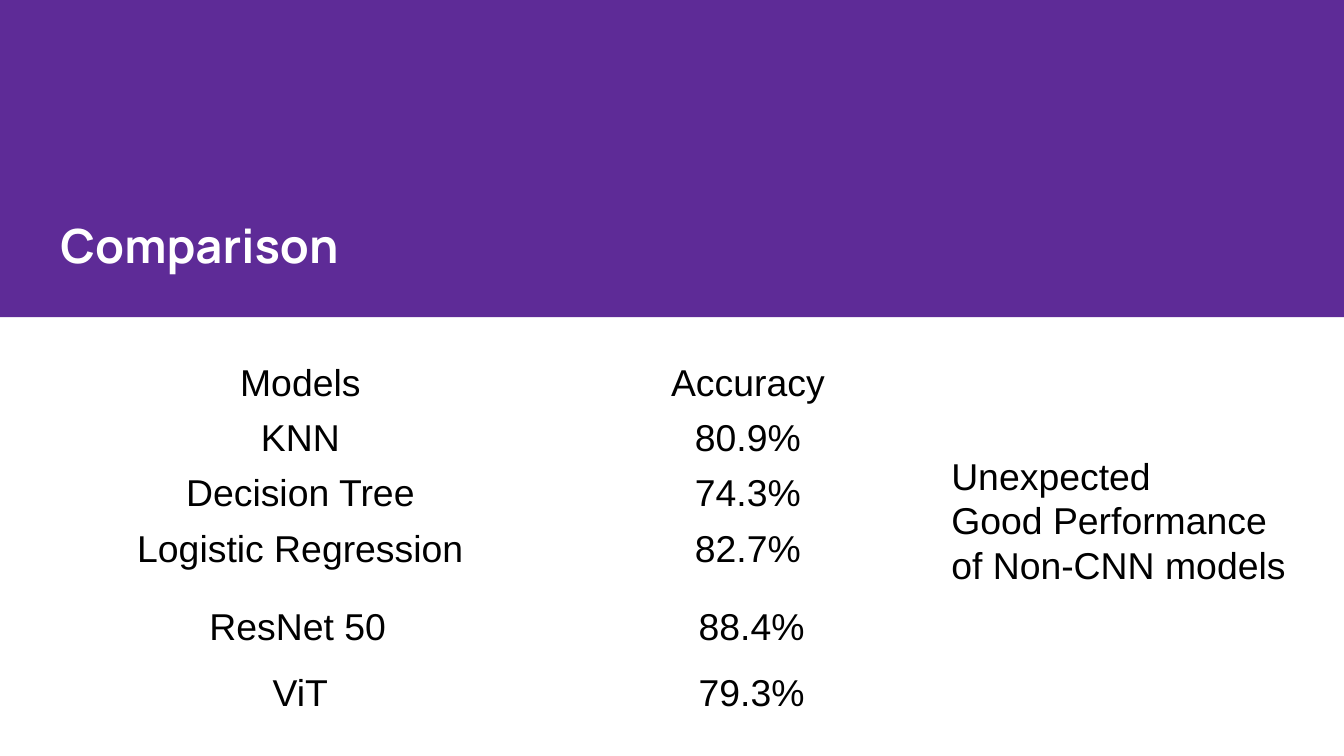
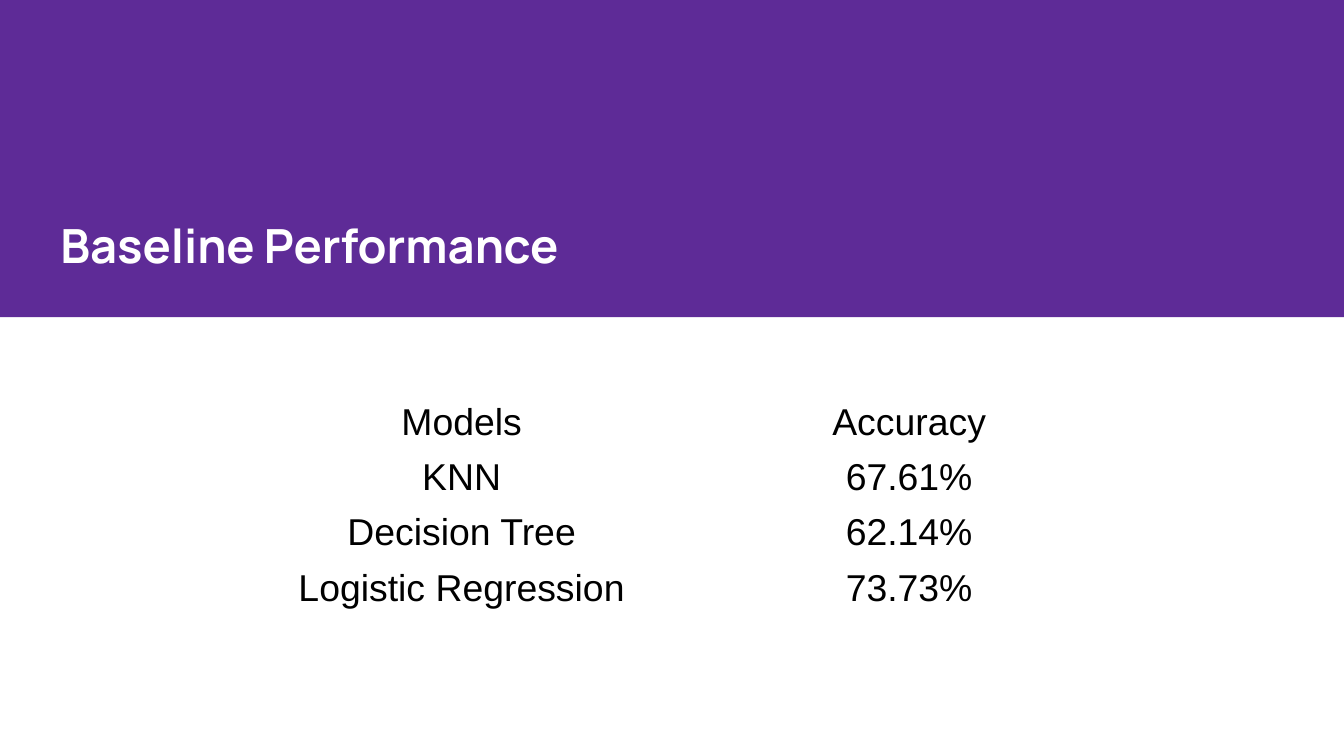
from dataclasses import dataclass
from typing import Any

from lxml.etree import SubElement
from pptx import Presentation
from pptx.dml.color import RGBColor
from pptx.enum.shapes import MSO_SHAPE
from pptx.enum.text import MSO_ANCHOR, MSO_AUTO_SIZE, PP_ALIGN
from pptx.oxml.ns import qn
from pptx.util import Inches, Length, Pt


@dataclass(frozen=True)
class Theme:
    purple: RGBColor = RGBColor(0x5E, 0x2B, 0x97)
    white: RGBColor = RGBColor(0xFF, 0xFF, 0xFF)
    black: RGBColor = RGBColor(0, 0, 0)
    title_font: str = "Manrope"
    body_font: str = "Arial"
    title_size: Length = Pt(25.2)
    body_size: Length = Pt(20)


THEME = Theme()
PAGE_WIDTH = Inches(10)
PAGE_HEIGHT = PAGE_WIDTH * 9 // 16
BAND_HEIGHT = Inches(2.36)
COLUMN_WIDTH, ROW_HEIGHT = Inches(3.33), Inches(0.41)
SIDE_INSET, BODY_INSET = Inches(0.1), Inches(0.05)
EXTRA_RIGHT, EXTRA_HEIGHT = Inches(6.34), Inches(0.44)
VALUE_LEFT = Inches(5.2)

TITLE_FONT = {"name": THEME.title_font, "size": THEME.title_size, "bold": True}
BODY_FONT = {"name": THEME.body_font, "size": THEME.body_size, "bold": False}
MODELS = ("KNN", "Decision Tree", "Logistic Regression")


@dataclass(frozen=True)
class ResultTable:
    left: Length
    top: Length
    accuracies: tuple[str, ...]


@dataclass(frozen=True)
class ExtraResult:
    model: str
    accuracy: str
    left: Length
    top: Length


@dataclass(frozen=True)
class ResultPage:
    title: str
    title_width: Length
    table: ResultTable
    note: tuple[str, ...] = ()
    extras: tuple[ExtraResult, ...] = ()


PAGES = (
    ResultPage(
        "Comparison",
        Inches(3.85),
        ResultTable(Inches(0.57), Inches(2.65), ("80.9%", "74.3%", "82.7%")),
        ("Unexpected", "Good Performance of Non-CNN models"),
        (
            ExtraResult("ResNet 50", "88.4%", Inches(1.46), Inches(4.44)),
            ExtraResult("ViT", "79.3%", Inches(1.93), Inches(4.93)),
        ),
    ),
    ResultPage(
        "Baseline Performance",
        Inches(5.68),
        ResultTable(Inches(1.77), Inches(2.94), ("67.61%", "62.14%", "73.73%")),
    ),
)


def apply_format(target: Any, values: dict[str, Any]) -> None:
    for name, value in values.items():
        setattr(target, name, value)


def set_insets(target: Any, vertical: Length) -> None:
    apply_format(target, {
        "margin_left": SIDE_INSET, "margin_right": SIDE_INSET,
        "margin_top": vertical, "margin_bottom": vertical,
    })


def write_lines(frame: Any, lines: tuple[str, ...], font: dict[str, Any],
                color: RGBColor, align: PP_ALIGN = PP_ALIGN.LEFT) -> None:
    for index, line in enumerate(lines):
        para = frame.add_paragraph() if index else frame.paragraphs[0]
        para.alignment = align
        span = para.add_run()
        span.text = line
        apply_format(span.font, font)
        span.font.color.rgb = color


def add_band_to_layout(page: Any) -> None:
    """Place the purple band behind every page that uses this layout."""
    band = page.shapes.add_shape(MSO_SHAPE.RECTANGLE, 0, 0, PAGE_WIDTH, BAND_HEIGHT)
    band.shadow.inherit = False
    band.fill.solid()
    band.fill.fore_color.rgb = THEME.purple
    band.line.fill.background()
    page.slide_layout.shapes.element.insert(2, band.element)


def set_title(page: Any, text: str, width: Length) -> None:
    title = page.shapes.title
    apply_format(title, {
        "left": Inches(0.35), "top": Inches(1.52),
        "width": width, "height": Inches(0.61),
    })
    frame = title.text_frame
    apply_format(frame, {
        "vertical_anchor": MSO_ANCHOR.BOTTOM,
        "auto_size": MSO_AUTO_SIZE.NONE,
        "word_wrap": True,
    })
    set_insets(frame, SIDE_INSET)
    write_lines(frame, (text,), TITLE_FONT, THEME.white)


def add_results(page: Any, results: ResultTable) -> None:
    rows = (("Models", "Accuracy"), *zip(MODELS, results.accuracies))
    table = page.shapes.add_table(
        len(rows), 2, results.left, results.top,
        COLUMN_WIDTH * 2, ROW_HEIGHT * len(rows),
    ).table
    apply_format(table, {"first_row": False, "horz_banding": False})
    for column in table.columns:
        column.width = COLUMN_WIDTH
    for row_index, row in enumerate(rows):
        for column_index, text in enumerate(row):
            cell = table.cell(row_index, column_index)
            cell.fill.background()
            set_insets(cell, BODY_INSET)
            write_lines(cell.text_frame, (text,), BODY_FONT, THEME.black, PP_ALIGN.CENTER)


def add_text(page: Any, left: Length, top: Length, width: Length, height: Length,
             lines: tuple[str, ...]) -> Any:
    frame = page.shapes.add_textbox(left, top, width, height).text_frame
    apply_format(frame, {"word_wrap": True, "auto_size": MSO_AUTO_SIZE.SHAPE_TO_FIT_TEXT})
    set_insets(frame, BODY_INSET)
    write_lines(frame, lines, BODY_FONT, THEME.black)
    return frame


def add_extra(page: Any, extra: ExtraResult) -> None:
    """Write a model and its accuracy on one line, split by a tab stop."""
    frame = add_text(page, extra.left, extra.top, EXTRA_RIGHT - extra.left,
                     EXTRA_HEIGHT, (f"{extra.model}\t{extra.accuracy}",))
    para_properties = frame.paragraphs[0]._p.get_or_add_pPr()
    tabs = SubElement(para_properties, qn("a:tabLst"))
    position = VALUE_LEFT - extra.left - SIDE_INSET
    SubElement(tabs, qn("a:tab"), pos=str(position), algn="l")


def main() -> None:
    deck = Presentation()
    apply_format(deck, {"slide_width": PAGE_WIDTH, "slide_height": PAGE_HEIGHT})
    layout = deck.slide_layouts[5]
    for content in PAGES:
        page = deck.slides.add_slide(layout)
        if len(deck.slides) == 1:
            add_band_to_layout(page)
        set_title(page, content.title, content.title_width)
        add_results(page, content.table)
        if content.note:
            add_text(page, Inches(6.98), Inches(3.32), Inches(2.74), Inches(1.11), content.note)
        for extra in content.extras:
            add_extra(page, extra)
    deck.save("out.pptx")


if __name__ == "__main__":
    main()
